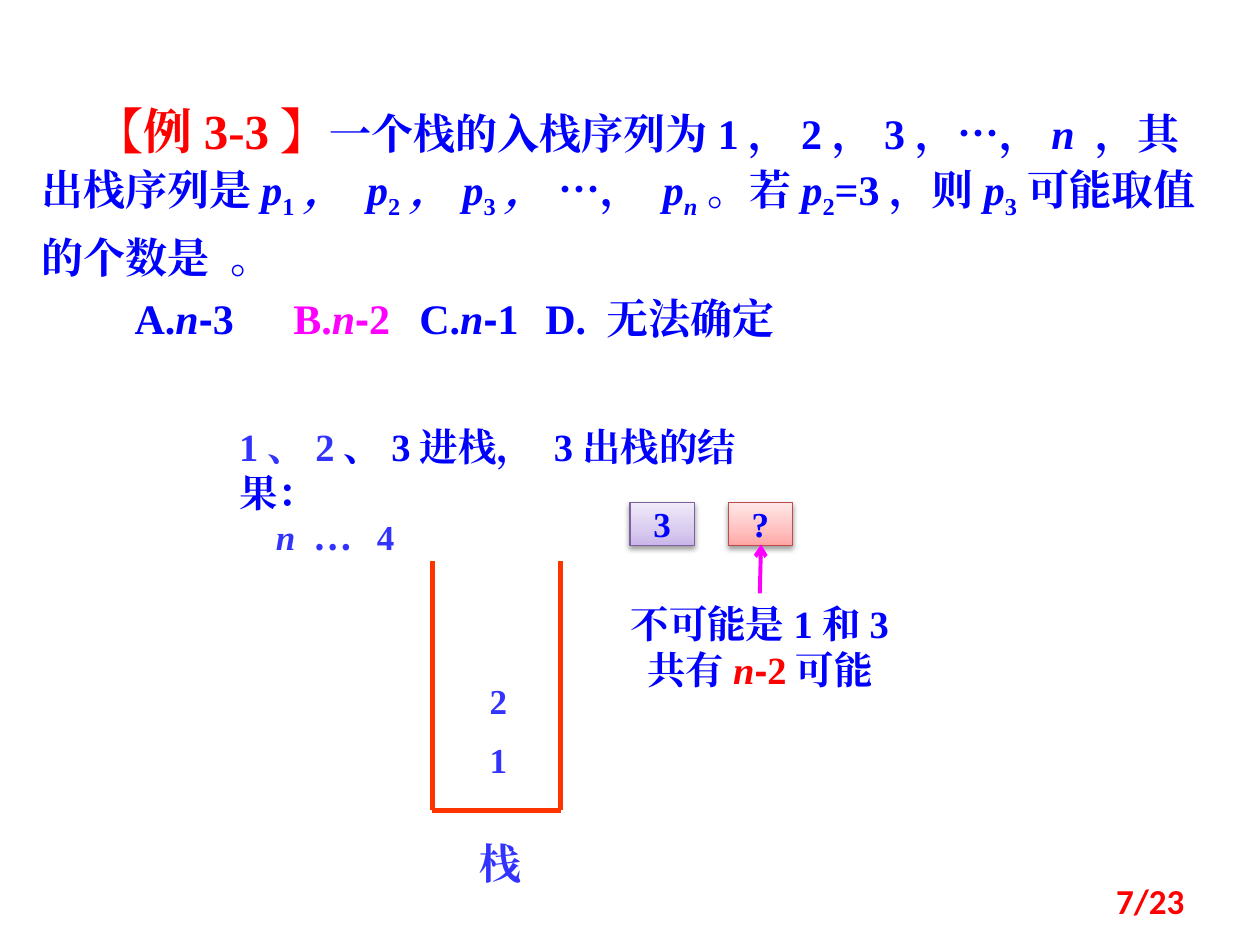
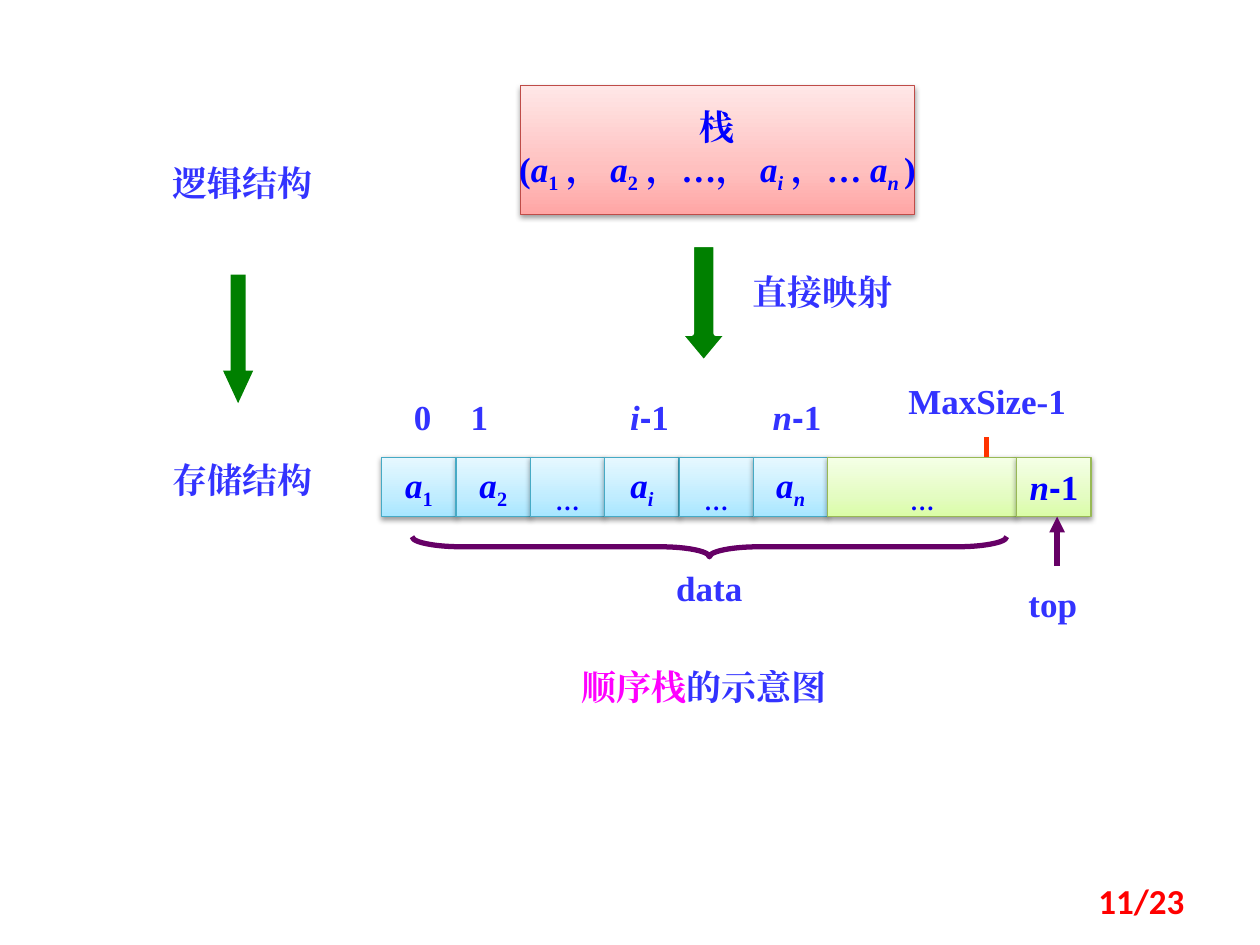
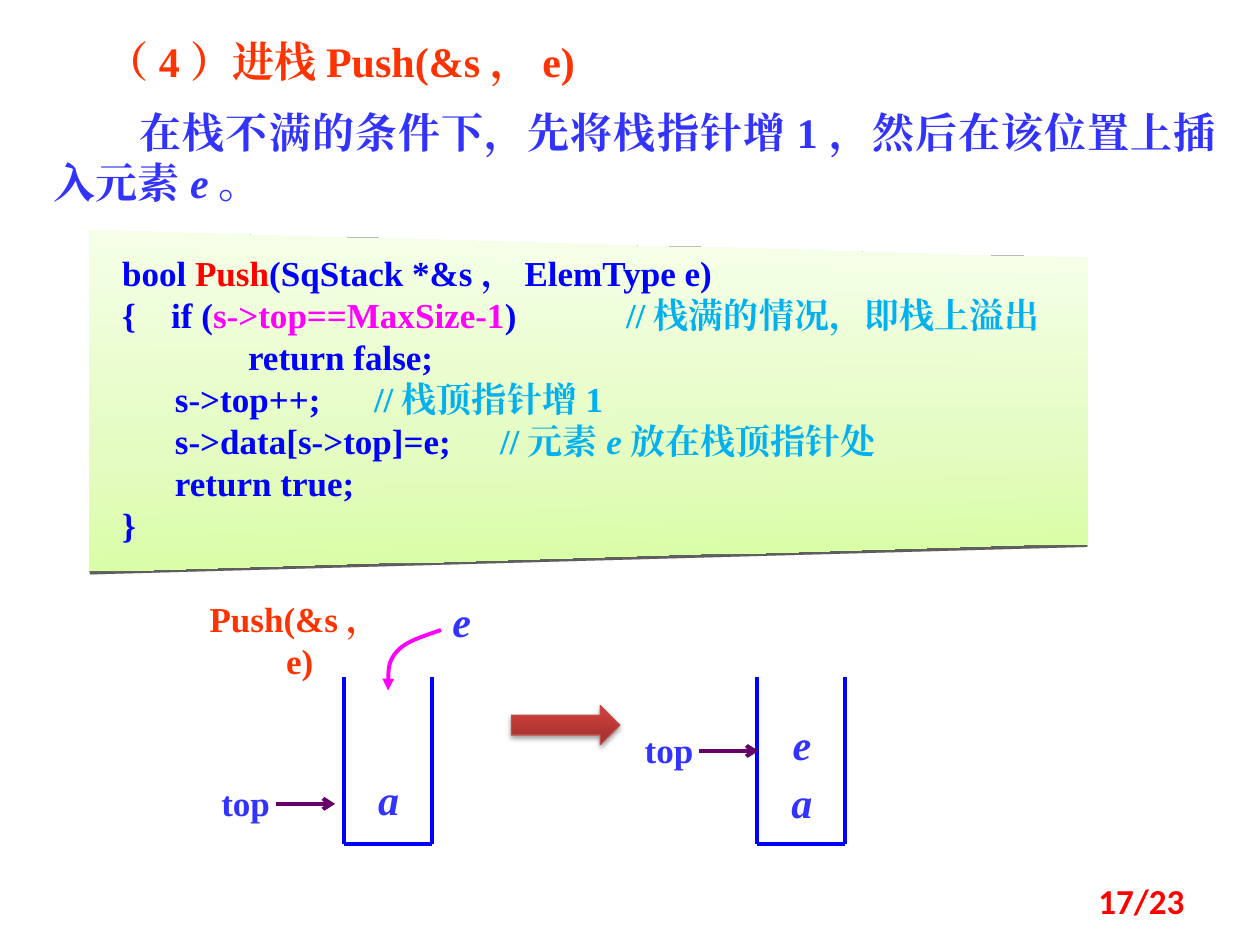
from itertools import pairwise

from lxml import etree
from pptx import Presentation
from pptx import util as u
from pptx.dml.color import RGBColor
from pptx.enum import shapes, text
from pptx.oxml import ns

Inches = u.Inches
SHAPE = shapes.MSO_SHAPE
ALIGN = text.PP_ALIGN

SERIF = "Times New Roman"
INDIGO, BLUE, RED, ORANGE = "3333FF", "0000FF", "FF0000", "FF3300"
MAGENTA, PLUM, GREEN, SKY = "FF00FF", "660066", "008000", "00B0F0"

PURPLE_SHADE = ("C9B5E8", "D8CBEE", "F0EAF9", "7D60A0")
PINK_SHADE = ("FFA6A5", "FFC0BF", "FFE7E7", "BF4C48")
AQUA_SHADE = ("A7E6FF", "C1EDFF", "E7F8FF", "46AAC5")
LIME_SHADE = ("DAFDA7", "E4FCC2", "F5FFE7", "98B955")
BRICK_SHADE = ("9C2F2D", "CB3E3A", "CE3B37", "BF4C48")

ITALIC = {"italic": True}
SUB = {"baseline": -25000}
UNDERLINE = {"underline": True}
ELLIPSIS = ("…", {"name": "Noto Sans CJK SC"})
MINUS = ("-", {"name": "Arial"})


def rgb(value):
    return RGBColor.from_string(value)


def colored(value):
    return {"color": value}


def variable(name, index, index_style=None):
    return (name, ITALIC), (index, SUB, index_style or {})


def paragraph_of(*runs, indent=0, tabs=(), before=0, spacing=None):
    return runs, indent, tabs, before, spacing


def add_xml(parent, tag, **attributes):
    return etree.SubElement(parent, ns.qn("a:" + tag),
                            {key: str(value) for key, value in attributes.items()})


class Deck:
    def __init__(self):
        self.presentation = Presentation()
        self.presentation.slide_width = Inches(10)
        self.presentation.slide_height = Inches(7.5)
        self.slide = None

    def new_slide(self, number):
        self.slide = self.presentation.slides.add_slide(self.presentation.slide_layouts[6])
        self.text_box(7.17, 6.95, 2.33, 0.4, f"{number}/23", color=RED, name="Calibri",
                      align=ALIGN.RIGHT, anchor=text.MSO_ANCHOR.MIDDLE, grow=False)

    def fill_text(self, frame, content, size=20, color=INDIGO, name=SERIF,
                  align=ALIGN.CENTER, anchor=text.MSO_ANCHOR.TOP, wrap=True, grow=True,
                  inset=None):
        frame.word_wrap = wrap
        frame.vertical_anchor = anchor
        frame.auto_size = (text.MSO_AUTO_SIZE.SHAPE_TO_FIT_TEXT if grow
                           else text.MSO_AUTO_SIZE.NONE)
        if inset is not None:
            frame.margin_left = frame.margin_right = Inches(inset)
            frame.margin_top = frame.margin_bottom = Inches(inset)
        if isinstance(content, str):
            content = [paragraph_of(content)]
        base = {"size": size, "color": color, "name": name}
        for position, (runs, indent, tabs, before, spacing) in enumerate(content):
            paragraph = frame.add_paragraph() if position else frame.paragraphs[0]
            self.lay_out(paragraph, align, indent, tabs, before, spacing)
            paragraph.font.size = u.Pt(size)
            paragraph.font.bold = True
            for item in runs:
                wording, *changes = (item,) if isinstance(item, str) else item
                style = dict(base)
                for change in changes:
                    style.update(change)
                self.add_run(paragraph, wording, **style)

    def lay_out(self, paragraph, align, indent, tabs, before, spacing):
        paragraph.alignment = align
        properties = paragraph._p.get_or_add_pPr()
        if indent:
            properties.set("marL", "0")
            properties.set("indent", str(Inches(indent)))
        if tabs:
            stops = add_xml(properties, "tabLst")
            for stop in tabs:
                add_xml(stops, "tab", pos=int(Inches(stop)), algn="l")
        if before:
            paragraph.space_before = u.Pt(before)
        if spacing:
            paragraph.line_spacing = u.Pt(spacing)

    def add_run(self, paragraph, wording, size, color, name, italic=False,
                underline=False, baseline=0):
        run = paragraph.add_run()
        run.text = wording
        font = run.font
        font.size = u.Pt(size)
        font.bold = True
        font.name = name
        font.color.rgb = rgb(color)
        if italic:
            font.italic = True
        if underline:
            font.underline = True
        properties = run._r.get_or_add_rPr()
        properties.set("lang", "zh-CN")
        if baseline:
            properties.set("baseline", str(baseline))
        add_xml(properties, "ea", typeface=name)

    def text_box(self, left, top, width, height, content, **style):
        box = self.slide.shapes.add_textbox(Inches(left), Inches(top),
                                            Inches(width), Inches(height))
        self.fill_text(box.text_frame, content, **style)

    def label(self, left, top, width, height, content, **style):
        self.text_box(left, top, width, height, content, inset=0, **style)

    def shape(self, kind, left, top, width, height, fill=None, line=None, weight=3,
              adjustments=()):
        shape = self.slide.shapes.add_shape(kind, Inches(left), Inches(top),
                                            Inches(width), Inches(height))
        shape.shadow.inherit = False
        for index, value in enumerate(adjustments):
            shape.adjustments[index] = value
        if fill:
            shape.fill.solid()
            shape.fill.fore_color.rgb = rgb(fill)
        else:
            shape.fill.background()
        if line:
            shape.line.color.rgb = rgb(line)
            shape.line.width = u.Pt(weight)
        else:
            shape.line.fill.background()
        return shape

    def shaded(self, kind, left, top, width, height, shade, content=None, middle=35,
               **style):
        *stops, outline = shade
        shape = self.shape(kind, left, top, width, height, stops[0], outline, 0.75)
        properties = shape._element.spPr
        solid = properties.find(ns.qn("a:solidFill"))
        gradient = etree.Element(ns.qn("a:gradFill"), rotWithShape="1")
        stop_list = add_xml(gradient, "gsLst")
        for position, value in zip((0, middle, 100), stops):
            stop = add_xml(stop_list, "gs", pos=position * 1000)
            add_xml(stop, "srgbClr", val=value)
        add_xml(gradient, "lin", ang=270 * 60000, scaled=1)
        properties.replace(solid, gradient)
        shadow = add_xml(properties.find(ns.qn("a:effectLst")), "outerShdw",
                         blurRad=int(u.Pt(3.1)), dist=int(u.Pt(1.6)), dir=90 * 60000,
                         rotWithShape=0)
        add_xml(add_xml(shadow, "srgbClr", val="000000"), "alpha", val=38000)
        if content:
            self.fill_text(shape.text_frame, content, color=BLUE, **style)
        return shape

    def cell(self, left, top, width, height, shade, content, **style):
        self.shaded(SHAPE.RECTANGLE, left, top, width, height, shade, content,
                    anchor=text.MSO_ANCHOR.MIDDLE, wrap=False, grow=False, **style)

    def tilt(self, shape):
        scene = add_xml(shape._element.spPr, "scene3d")
        add_xml(scene, "camera", prst="perspectiveRight")
        add_xml(scene, "lightRig", rig="threePt", dir="t")

    def draw_line(self, shape, color, weight, head):
        shape.line.color.rgb = rgb(color)
        shape.line.width = u.Pt(weight)
        if head:
            add_xml(shape._element.spPr.find(ns.qn("a:ln")), "tailEnd", type=head)

    def line(self, start, end, color, weight, head=None):
        points = [Inches(value) for value in (*start, *end)]
        connector = self.slide.shapes.add_connector(shapes.MSO_CONNECTOR.STRAIGHT, *points)
        self.draw_line(connector, color, weight, head)
        add_xml(connector._element.spPr, "effectLst")

    def curve(self, points, color, weight, head):
        start, *others = [(Inches(x), Inches(y)) for x, y in points]
        builder = self.slide.shapes.build_freeform(*start)
        builder.add_line_segments(others, close=False)
        shape = builder.convert_to_shape()
        outline = shape._element.spPr.find(".//" + ns.qn("a:path"))
        segments = outline.findall(ns.qn("a:lnTo"))
        for first in range(0, len(segments), 3):
            bezier = add_xml(outline, "cubicBezTo")
            for segment in segments[first:first + 3]:
                bezier.append(segment[0])
                outline.remove(segment)
        shape.shadow.inherit = False
        shape.fill.background()
        self.draw_line(shape, color, weight, head)

    def stack(self, left, top, width, height, color, weight):
        right, bottom = left + width, top + height
        corners = [(left, top), (left, bottom), (right, bottom), (right, top)]
        for start, end in pairwise(corners):
            self.line(start, end, color, weight)


deck = Deck()

deck.new_slide(7)
question = paragraph_of(
    ("【例3-3】", {"size": 28}, colored(RED)), "一个栈的入栈序列为1，2，3，", ELLIPSIS, "，",
    ("n ", ITALIC), "，其出栈序列是", *variable("p", "1"), *variable("， p", "2"),
    *variable("，p", "3"), ("， ", ITALIC), ELLIPSIS, "， ", *variable("p", "n", ITALIC),
    "。若", *variable("p", "2"), "=3，则", *variable("p", "3"), "可能取值的个数是",
    ("\t", UNDERLINE), "。", indent=0.42, tabs=[2.09], spacing=35)
pink = colored(MAGENTA)
choices = paragraph_of(
    "A.", ("n", ITALIC), MINUS, "3\t",
    ("B.", pink), ("n", ITALIC, pink), (*MINUS, pink), ("2\t", pink),
    "C.", ("n", ITALIC), MINUS, "1\t", "D. 无法确定",
    indent=0.74, tabs=[2.44, 4.04, 5.74], spacing=35)
deck.text_box(0.23, 0.73, 9.45, 2.06, [question, choices], size=24, color=BLUE,
              align=ALIGN.LEFT)
deck.stack(3.43, 4.45, 1.02, 1.98, ORANGE, 3)
deck.label(3.74, 6.65, 0.47, 0.4, "栈", size=24)
for value, top in (("1", 5.86), ("2", 5.39)):
    deck.label(3.7, top, 0.51, 0.34, value)
for value, left, shade in (("3", 5, PURPLE_SHADE), ("?", 5.78, PINK_SHADE)):
    deck.shaded(SHAPE.RECTANGLE, left, 3.99, 0.51, 0.34, shade, value, inset=0)
deck.label(2.19, 4.09, 1.09, 0.34,
           [paragraph_of(("n\t", ITALIC), ELLIPSIS, "\t4", tabs=[0.3, 0.8])],
           align=ALIGN.LEFT)
red = colored(RED)
deck.text_box(4.82, 4.71, 2.42, 0.84, [
    paragraph_of("不可能是1和3"),
    paragraph_of("共有", ("n", ITALIC, red), (*MINUS, red), ("2", red), "可能"),
], size=22, color=BLUE)
deck.line((6.03, 4.71), (6.04, 4.32), MAGENTA, 2.25, "arrow")
deck.text_box(1.8, 3.31, 4.38, 0.47,
              [paragraph_of(("1、2", colored(INDIGO)), "、3进栈， 3出栈的结果：")],
              size=22, color=BLUE, align=ALIGN.LEFT)

deck.new_slide(11)
deck.cell(4.13, 0.68, 3.13, 1.02, PINK_SHADE, [
    paragraph_of("栈"),
    paragraph_of("(", *variable("a", "1"), "，", *variable("a", "2"), "，…，",
                 *variable("a", "i", ITALIC), "，…", *variable("a", "n ", ITALIC), ")"),
])
deck.shape(SHAPE.DOWN_ARROW, 5.39, 1.94, 0.39, 0.94, GREEN, "FFFFFF",
           adjustments=(0.5, 0.6))
deck.shape(SHAPE.DOWN_ARROW, 1.77, 2.18, 0.24, 1.02, GREEN, adjustments=(0.5, 1.08))

cell_left, cell_top, cell_width, cell_height = 3.03, 3.63, 0.59, 0.47
dots = [paragraph_of(("…", SUB, {"size": 24}))]
last_index = [paragraph_of(("n", ITALIC), MINUS, "1")]
elements = [[paragraph_of(*variable("a", index, style))] if index else dots
            for index, style in (("1", None), ("2", None), (None, None),
                                 ("i", ITALIC), (None, None), ("n", ITALIC))]
cells = [(content, cell_width, AQUA_SHADE) for content in elements]
cells += [(dots, 1.5, LIME_SHADE), (last_index, cell_width, LIME_SHADE)]
for content, width, shade in cells:
    deck.cell(cell_left, cell_top, width, cell_height, shade, content)
    cell_left += width

for left, top, width, content in (
        (5.78, 2.1, 1.5, "直接映射"),
        (7.01, 2.96, 1.65, "MaxSize-1"),
        (3.08, 3.09, 0.55, "0"),
        (3.53, 3.09, 0.55, "1"),
        (4.84, 3.09, 0.63, [paragraph_of(("i", ITALIC), MINUS, "1")]),
        (5.97, 3.09, 0.71, last_index),
        (5.08, 4.45, 1.1, "data"),
        (7.92, 4.57, 0.87, "top"),
        (4.3, 5.23, 2.58, [paragraph_of(("顺序栈", pink), "的示意图")]),
        (0.98, 1.23, 1.89, "逻辑结构"),
        (0.98, 3.59, 1.89, "存储结构")):
    deck.text_box(left, top, width, 0.43, content)
deck.line((7.83, 3.47), (7.83, 3.63), ORANGE, 3)
brace = deck.shape(SHAPE.RIGHT_BRACE, 5.55, 1.98, 0.16, 4.72, line=PLUM,
                   adjustments=(2.49, 0.5))
brace.rotation = 90
deck.line((8.39, 4.49), (8.39, 4.1), PLUM, 3, "triangle")

deck.new_slide(17)
deck.text_box(0.33, 0.23, 9.42, 1.51, [
    paragraph_of(("（4）进栈Push(&s，e)", colored(ORANGE)), indent=0.42),
    paragraph_of("在栈不满的条件下，先将栈指针增1，然后在该位置上插入元素", ("e", ITALIC), "。",
                 indent=0.68, before=12),
], size=24, align=ALIGN.JUSTIFY)
sky = colored(SKY)
body = {"indent": 0.42, "tabs": [4]}
code = deck.shaded(SHAPE.RECTANGLE, 0.87, 1.95, 8.35, 2.46, LIME_SHADE, [
    paragraph_of("bool ", ("Push", red), "(SqStack *&s，ElemType e)"),
    paragraph_of("{\tif (", ("s->top==MaxSize-1", pink), ")\t",
                 ("//栈满的情况，即栈上溢出", sky), tabs=[0.39, 4]),
    paragraph_of("return false;", indent=1),
    paragraph_of("s->top++;\t", ("//栈顶指针增1", sky), **body),
    paragraph_of("s->data[s->top]=e;\t", ("//元素", sky), ("e", ITALIC, sky),
                 ("放在栈顶指针处", sky), **body),
    paragraph_of("return true;", **body),
    paragraph_of("}"),
], align=ALIGN.LEFT)
deck.tilt(code)

for left in (2.73, 6.01):
    deck.stack(left, 5.37, 0.7, 1.33, BLUE, 2.25)
for value, left, top in (("a", 2.77, 6.14), ("e", 3.35, 4.73),
                         ("e", 6.05, 5.7), ("a", 6.05, 6.16)):
    deck.label(left, top, 0.63, 0.4, [paragraph_of((value, ITALIC))], size=24)
for left, top in ((1.48, 6.2), (4.84, 5.78)):
    deck.label(left, top, 0.94, 0.34, "top")
    deck.line((left + 0.71, top + 0.18), (left + 1.18, top + 0.18), PLUM, 2.25, "arrow")
deck.curve([(3.5, 5), (3.36, 5.05), (3.22, 5.09), (3.15, 5.17),
            (3.08, 5.25), (3.08, 5.36), (3.08, 5.48)], MAGENTA, 2.25, "triangle")
deck.shaded(SHAPE.RIGHT_ARROW, 4.06, 5.6, 0.86, 0.31, BRICK_SHADE, middle=80)
deck.text_box(1.56, 4.69, 1.64, 0.44, "Push(&s，e)", color=ORANGE)

deck.presentation.save("out.pptx")
